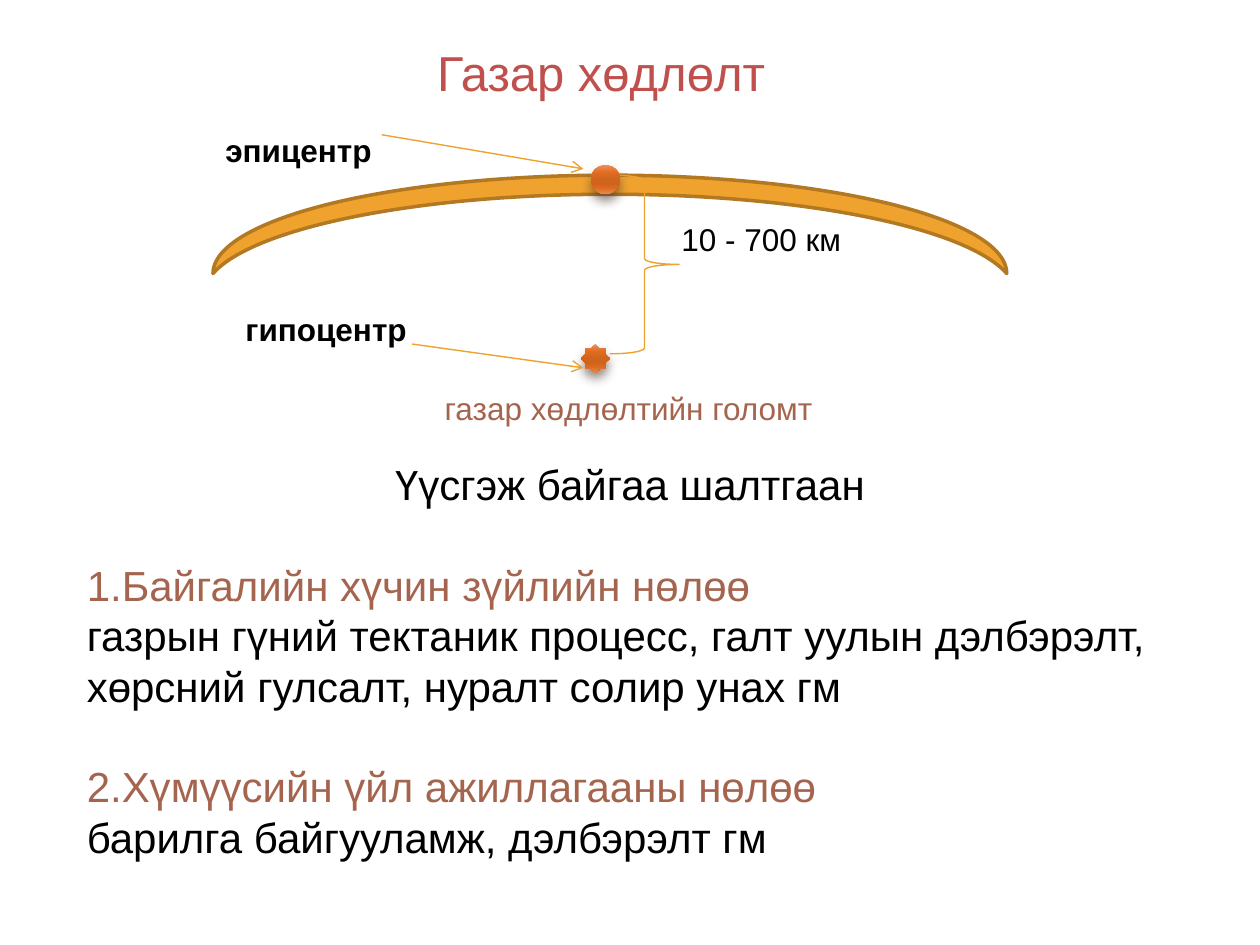
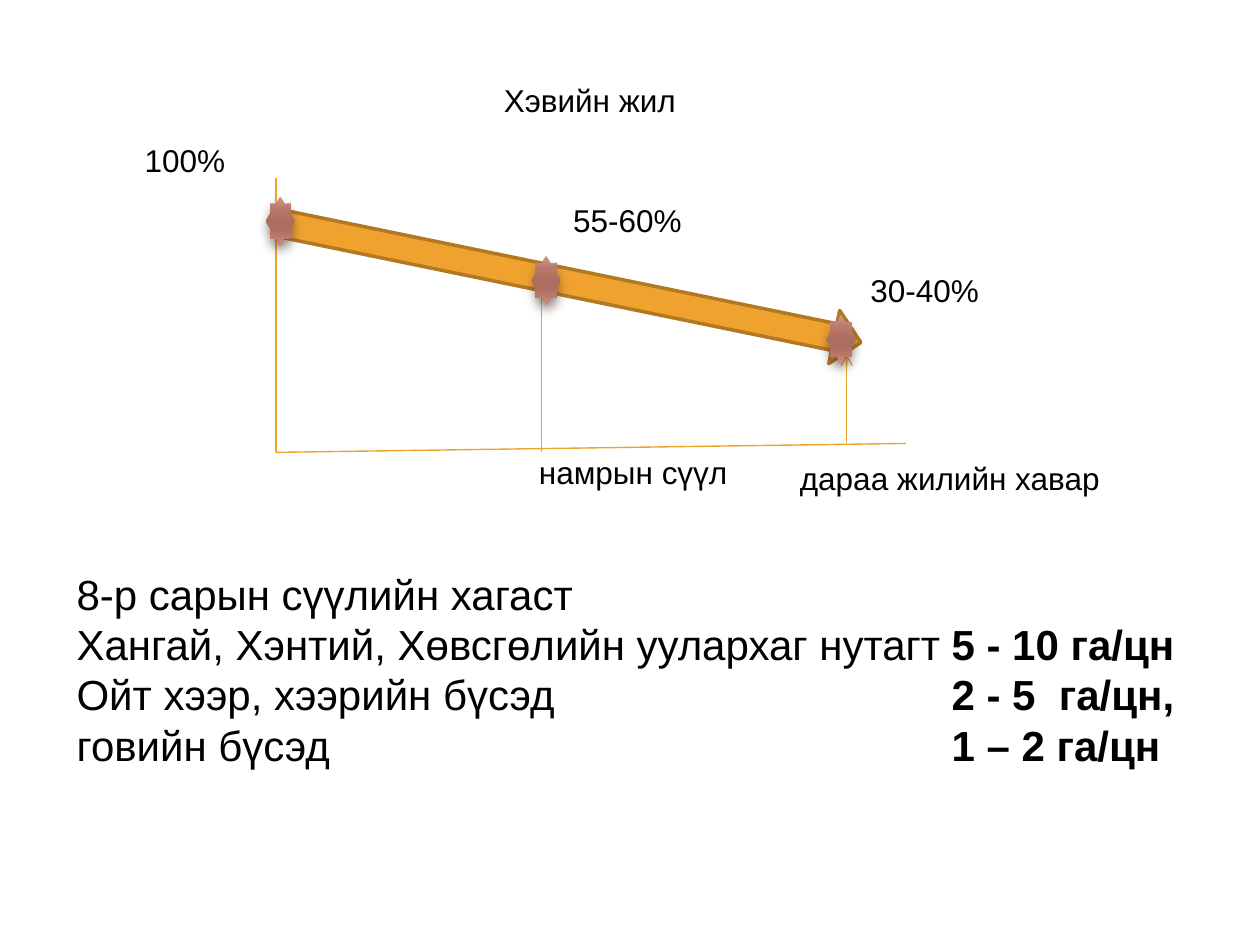
from lxml.etree import SubElement
from pptx import Presentation
from pptx.dml.color import RGBColor
from pptx.enum.shapes import MSO_CONNECTOR, MSO_SHAPE
from pptx.enum.text import MSO_AUTO_SIZE, PP_ALIGN
from pptx.oxml.ns import qn
from pptx.util import Pt

FONT = "Arial"
BLACK = RGBColor(0x00, 0x00, 0x00)
RED = RGBColor(0xC0, 0x50, 0x4D)
BROWN = RGBColor(0xA5, 0x64, 0x4E)
AMBER = RGBColor(0xF0, 0xA2, 0x2E)
DARK_AMBER = RGBColor(0xB2, 0x78, 0x22)
SHADOW = RGBColor(0x4E, 0x3B, 0x30)
GRADIENT_STOPS = (0, 25, 50, 65, 80, 100)
ORANGE_SHADES = (
    RGBColor(0xEE, 0x8F, 0x5B), RGBColor(0xE0, 0x6D, 0x21),
    RGBColor(0xD0, 0x64, 0x1C), RGBColor(0xD0, 0x64, 0x1C),
    RGBColor(0xDE, 0x6C, 0x20), RGBColor(0xE8, 0x88, 0x52),
)
ROSE_SHADES = (
    RGBColor(0xD0, 0x9A, 0x8D), RGBColor(0xB9, 0x78, 0x69),
    RGBColor(0xAB, 0x6E, 0x60), RGBColor(0xAB, 0x6E, 0x60),
    RGBColor(0xB8, 0x78, 0x68), RGBColor(0xCA, 0x93, 0x86),
)
THIN, THICK = 0.79, 2
LABEL_HEIGHT = 28.8
BODY_SIZE = 24
BLANK_LINE = 28.8


def add_frame(slide, left, top, width, height, wrap):
    box = slide.shapes.add_textbox(Pt(left), Pt(top), Pt(width), Pt(height))
    frame = box.text_frame
    frame.word_wrap = wrap
    frame.auto_size = MSO_AUTO_SIZE.SHAPE_TO_FIT_TEXT
    return frame


def style_paragraph(paragraph, size, color=BLACK, bold=False):
    font = paragraph.font
    font.name, font.size, font.bold = FONT, Pt(size), bold
    font.color.rgb = color


def add_label(slide, left, top, width, text, color=BLACK, bold=False, size=18):
    frame = add_frame(slide, left, top, width, LABEL_HEIGHT, wrap=False)
    frame.text = text
    style_paragraph(frame.paragraphs[0], size, color, bold)
    return frame.paragraphs[0]


def add_outlined(slide, preset, left, top, width, height,
                 fill=None, line=AMBER, weight=THIN):
    shape = slide.shapes.add_shape(preset, Pt(left), Pt(top), Pt(width), Pt(height))
    shape.shadow.inherit = False
    if fill is None:
        shape.fill.background()
    else:
        shape.fill.solid()
        shape.fill.fore_color.rgb = fill
    shape.line.color.rgb = line
    shape.line.width = Pt(weight)
    return shape


def add_marker(slide, preset, left, top, height, shades):
    """Add a small gradient-filled mark with a soft shadow below it."""
    shape = slide.shapes.add_shape(preset, Pt(left), Pt(top), Pt(16.6), Pt(height))
    shape.line.fill.background()
    shape.fill.gradient()
    properties = shape.element.spPr
    gradient = properties.find(qn("a:gradFill"))
    for child in list(gradient):
        gradient.remove(child)
    stops = SubElement(gradient, qn("a:gsLst"))
    for position, color in zip(GRADIENT_STOPS, shades):
        stop = SubElement(stops, qn("a:gs"), pos=str(position * 1000))
        SubElement(stop, qn("a:srgbClr"), val=str(color))
    SubElement(gradient, qn("a:lin"), ang="5400000", scaled="0")

    shape.shadow.inherit = False
    shadow = SubElement(properties.find(qn("a:effectLst")), qn("a:outerShdw"),
                        blurRad=str(Pt(6)), dist=str(Pt(4)), dir="5400000",
                        rotWithShape="0")
    shadow_color = SubElement(shadow, qn("a:srgbClr"), val=str(SHADOW))
    SubElement(shadow_color, qn("a:alpha"), val="60000")


def add_line(slide, start, end, arrow=False):
    connector = slide.shapes.add_connector(
        MSO_CONNECTOR.STRAIGHT, *(Pt(value) for value in (*start, *end)))
    connector.line.color.rgb = AMBER
    connector.line.width = Pt(THIN)
    properties = connector.element.spPr
    if arrow:
        SubElement(properties.find(qn("a:ln")), qn("a:tailEnd"), type="arrow")
    SubElement(properties, qn("a:effectLst"))


def earthquake_diagram(slide, left, top):
    crust = add_outlined(slide, MSO_SHAPE.MOON, left + 200.4, top - 168.6,
                         56.2, 453.6, AMBER, DARK_AMBER, THICK)
    crust.adjustments[0] = 0.194
    crust.rotation = 90
    add_outlined(slide, MSO_SHAPE.RIGHT_BRACE, left + 228.5, top + 30, 39.6, 102.2)
    add_marker(slide, MSO_SHAPE.OVAL, left + 217.7, top + 24.3, 16.6, ORANGE_SHADES)
    add_marker(slide, MSO_SHAPE.STAR_8_POINT, left + 211.9, top + 126.6, 16.6,
               ORANGE_SHADES)
    for x, y, tip_y in ((98.2, 7, 26.5), (115.4, 126.6, 140.2)):
        add_line(slide, (left + x, top + y), (left + 213.4, top + tip_y), arrow=True)
    for x, y, width, text, color, bold in (
        (1.7, 1.3, 99.4, "эпицентр", BLACK, True),
        (13.2, 103.5, 108, "гипоцентр", BLACK, True),
        (262.3, 52.4, 111.6, "10 - 700 км", BLACK, False),
        (127, 148.9, 231.8, "газар хөдлөлтийн голомт", BROWN, False),
    ):
        add_label(slide, left + x, top + y, width, text, color, bold)


def causes_text(slide, left, top, width, height):
    frame = add_frame(slide, left, top, width, height, wrap=True)
    heading = frame.paragraphs[0]
    heading.text = "Үүсгэж байгаа шалтгаан"
    heading.alignment = PP_ALIGN.CENTER
    style_paragraph(heading, BODY_SIZE)
    for cause, examples in (
        ("1.Байгалийн хүчин зүйлийн нөлөө",
         "газрын гүний тектаник процесс, галт уулын дэлбэрэлт, "
         "хөрсний гулсалт, нуралт солир унах гм"),
        ("2.Хүмүүсийн үйл ажиллагааны нөлөө",
         "барилга байгууламж, дэлбэрэлт гм"),
    ):
        for text, color, gap in ((cause, BROWN, BLANK_LINE), (examples, BLACK, 0)):
            paragraph = frame.add_paragraph()
            paragraph.text = text
            paragraph.space_before = Pt(gap)
            style_paragraph(paragraph, BODY_SIZE, color)


def decline_diagram(slide, left, top):
    """Draw the fall from full yield to next spring's remainder."""
    add_label(slide, left + 210.8, top, 118.8, "Хэвийн жил")
    trend = add_outlined(slide, MSO_SHAPE.RIGHT_ARROW, left + 87, top + 103.2,
                         338.4, 31, AMBER, DARK_AMBER, THICK)
    trend.rotation = 11.6
    for start, end, arrow in (
        ((87.7, 215.5), (87.7, 58.5), False),
        ((239.6, 215.5), (239.6, 120.4), True),
        ((413.8, 210.4), (413.8, 159.3), True),
        ((87.7, 215.5), (447.7, 210.4), False),
    ):
        add_line(slide, (left + start[0], top + start[1]),
                 (left + end[0], top + end[1]), arrow)
    for index, x in enumerate((81.9, 233.8, 402.3)):
        add_marker(slide, MSO_SHAPE.STAR_8_POINT, left + x,
                   top + 69.3 + index * 33.85, 28.1, ROSE_SHADES)
    for x, y, width, text in (
        (5.6, 34, 66, "100%"),
        (250.4, 68.6, 77, "55-60%"),
        (420.3, 108.2, 82, "30-40%"),
        (230.9, 212.6, 123, "намрын сүүл"),
        (380, 215.5, 186, "дараа жилийн хавар"),
    ):
        add_label(slide, left + x, top + y, width, text)


def yield_text(slide, left, top, width, height):
    """List the yield of each region, with the amounts at a tab stop."""
    frame = add_frame(slide, left, top, width, height, wrap=True)
    frame.text = "8-р сарын сүүлийн хагаст"
    style_paragraph(frame.paragraphs[0], BODY_SIZE)
    for region, amount in (
        ("Хангай, Хэнтий, Хөвсгөлийн уулархаг нутагт", "5 - 10 га/цн"),
        ("Ойт хээр, хээрийн бүсэд", "2 - 5  га/цн,"),
        ("говийн бүсэд", "1 – 2 га/цн"),
    ):
        paragraph = frame.add_paragraph()
        tabs = SubElement(paragraph._p.get_or_add_pPr(), qn("a:tabLst"))
        SubElement(tabs, qn("a:tab"), pos=str(Pt(500)), algn="l")
        style_paragraph(paragraph, BODY_SIZE)
        paragraph.add_run().text = region + "\t"
        amount_run = paragraph.add_run()
        amount_run.text = amount
        amount_run.font.bold = True


def main():
    presentation = Presentation()
    presentation.slide_width, presentation.slide_height = Pt(720), Pt(540)
    blank = presentation.slide_layouts[6]

    earthquake = presentation.slides.add_slide(blank)
    earthquake_diagram(earthquake, 120, 70)
    title = add_label(earthquake, 241.2, 20.9, 204.5, "Газар хөдлөлт", RED, size=28)
    title.alignment = PP_ALIGN.CENTER
    causes_text(earthquake, 42.5, 258.5, 635, 239.8)

    pasture = presentation.slides.add_slide(blank)
    decline_diagram(pasture, 70, 43)
    yield_text(pasture, 36.7, 321.1, 657.4, 123.8)

    presentation.save("out.pptx")


if __name__ == "__main__":
    main()
